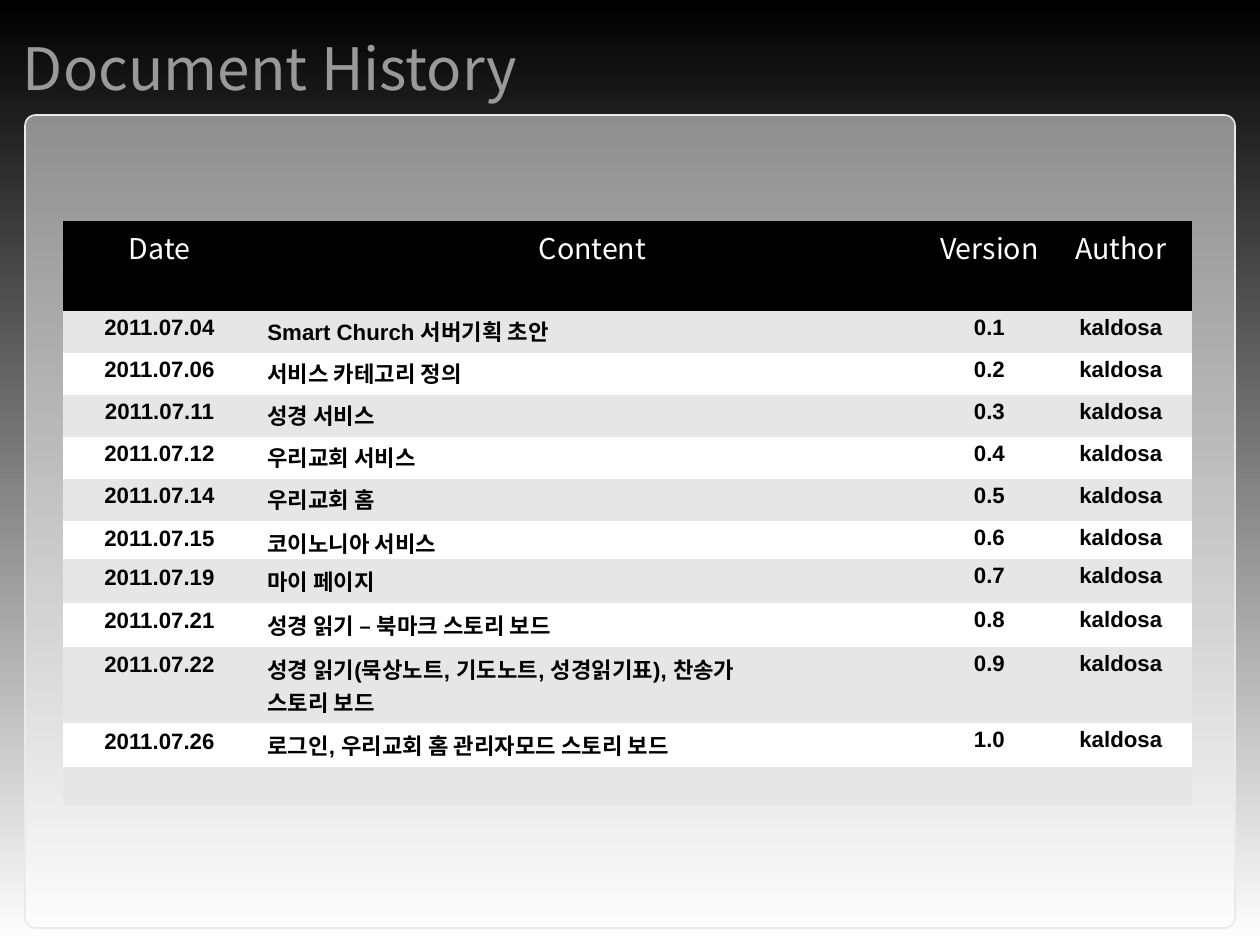
from dataclasses import dataclass

from lxml import etree
from pptx import Presentation
from pptx.dml.color import RGBColor
from pptx.enum.shapes import MSO_SHAPE
from pptx.enum.text import MSO_ANCHOR, PP_ALIGN
from pptx.oxml.ns import qn
from pptx.util import Pt

CENTER, LEFT = PP_ALIGN.CENTER, PP_ALIGN.LEFT
MIDDLE = MSO_ANCHOR.MIDDLE
ROUND_RECT = MSO_SHAPE.ROUNDED_RECTANGLE

# Content
TITLE = "Document History"
HEADER = ("Date", "Content", "Version", "Author")
AUTHOR = "kaldosa"
HISTORY = [
    ("2011.07.04", "Smart Church 서버기획 초안", "0.1"),
    ("2011.07.06", "서비스 카테고리 정의", "0.2"),
    ("2011.07.11", "성경 서비스", "0.3"),
    ("2011.07.12", "우리교회 서비스", "0.4"),
    ("2011.07.14", "우리교회 홈", "0.5"),
    ("2011.07.15", "코이노니아 서비스", "0.6"),
    ("2011.07.19", "마이 페이지", "0.7"),
    ("2011.07.21", "성경 읽기 – 북마크 스토리 보드", "0.8"),
    ("2011.07.22", "성경 읽기(묵상노트, 기도노트, 성경읽기표), 찬송가\n스토리 보드", "0.9"),
    ("2011.07.26", "로그인, 우리교회 홈 관리자모드 스토리 보드", "1.0"),
]
ROWS = [HEADER] + [(*entry, AUTHOR) for entry in HISTORY] + [("",) * len(HEADER)]

# Layout in px
SLIDE = (1260, 945)
TITLE_BOX = (23, 22, 1134, 90)
PANEL_BOX = (25, 115, 1210, 813)
TABLE_AT = (63, 221)
COL_WIDTHS = (193, 673, 121, 142)
ROW_HEIGHTS = (90, 42, 42, 42, 42, 42, 38, 44, 44, 76, 44, 38)
HEADER_INSET = 4
CONTENT_COL = 1
SHORT_ROW = 6   # low row, needs no bottom inset
TIGHT_ROWS = 5  # entries whose dates and contents have tight line spacing
TIGHT = 0.93


@dataclass(frozen=True)
class Theme:
    black: RGBColor = RGBColor(0x00, 0x00, 0x00)
    white: RGBColor = RGBColor(0xFF, 0xFF, 0xFF)
    band: RGBColor = RGBColor(0xE6, 0xE6, 0xE6)
    title: RGBColor = RGBColor(0x99, 0x99, 0x99)
    edge: RGBColor = RGBColor(0xEA, 0xEA, 0xEA)
    heading_font: str = "Noto Sans CJK KR"
    body_font: str = "Arial"
    title_size: float = 36.8
    header_size: float = 18
    body_size: float = 14


THEME = Theme()


def px(n):
    return n * 8000


def style_run(r, size, name, color, bold=False):
    font = r.font
    font.size, font.name, font.bold = Pt(size), name, bold
    font.color.rgb = color
    ea = etree.SubElement(r._r.get_or_add_rPr(), qn("a:ea"))
    ea.set("typeface", THEME.heading_font)


def clear_borders(cell):
    tc_pr = cell._tc.get_or_add_tcPr()
    for i, side in enumerate(("a:lnL", "a:lnR", "a:lnT", "a:lnB")):
        line = etree.Element(qn(side), w="0")
        etree.SubElement(line, qn("a:noFill"))
        tc_pr.insert(i, line)


def fill_cell(cell, text, row, col):
    is_header = row == 0
    cell.fill.solid()
    cell.fill.fore_color.rgb = (
        THEME.black if is_header else THEME.band if row % 2 else THEME.white)
    clear_borders(cell)
    if is_header:
        cell.margin_left = cell.margin_right = px(HEADER_INSET)
    if row == SHORT_ROW:
        cell.margin_bottom = 0
    tf = cell.text_frame
    tf.text = text
    for p in tf.paragraphs:
        p.alignment = LEFT if col == CONTENT_COL and not is_header else CENTER
        if not is_header and (row <= TIGHT_ROWS or col > CONTENT_COL):
            p.line_spacing = TIGHT
        for r in p.runs:
            if is_header:
                style_run(r, THEME.header_size, THEME.heading_font, THEME.white)
            else:
                style_run(r, THEME.body_size, THEME.body_font, THEME.black, True)
        if not text:  # keeps the blank row low
            end = etree.SubElement(p._p, qn("a:endParaRPr"))
            end.set("sz", str(THEME.body_size * 100))
            etree.SubElement(end, qn("a:latin")).set("typeface", THEME.body_font)


def main():
    prs = Presentation()
    prs.slide_width, prs.slide_height = map(px, SLIDE)
    s = prs.slides.add_slide(prs.slide_layouts[5])

    # Background
    fill = s.background.fill
    fill.gradient()
    fill.gradient_angle = 270
    for stop, color in zip(fill.gradient_stops, (THEME.black, THEME.white)):
        stop.color.rgb = color

    # Title
    sp = s.shapes.title
    sp.left, sp.top, sp.width, sp.height = map(px, TITLE_BOX)
    tf = sp.text_frame
    tf.text = TITLE
    tf.margin_left = tf.margin_right = tf.margin_top = tf.margin_bottom = 0
    tf.vertical_anchor = MIDDLE
    p = tf.paragraphs[0]
    p.alignment = LEFT
    style_run(p.runs[0], THEME.title_size, THEME.heading_font, THEME.title)

    # Translucent panel
    panel = s.shapes.add_shape(ROUND_RECT, *map(px, PANEL_BOX))
    panel.shadow.inherit = False
    panel.adjustments[0] = 0.013
    panel.fill.solid()
    panel.fill.fore_color.rgb = THEME.white
    color = panel.fill._xPr.find(qn("a:solidFill"))[0]
    etree.SubElement(color, qn("a:alpha")).set("val", "50000")
    panel.line.color.rgb = THEME.edge
    panel.line.width = Pt(1)

    # History table
    size = (sum(COL_WIDTHS), sum(ROW_HEIGHTS))
    table = s.shapes.add_table(
        len(ROWS), len(HEADER), *map(px, TABLE_AT + size)).table
    for column, width in zip(table.columns, COL_WIDTHS):
        column.width = px(width)
    for i, (row, height) in enumerate(zip(table.rows, ROW_HEIGHTS)):
        row.height = px(height)
        for j, text in enumerate(ROWS[i]):
            fill_cell(table.cell(i, j), text, i, j)

    prs.save("out.pptx")


if __name__ == "__main__":
    main()
